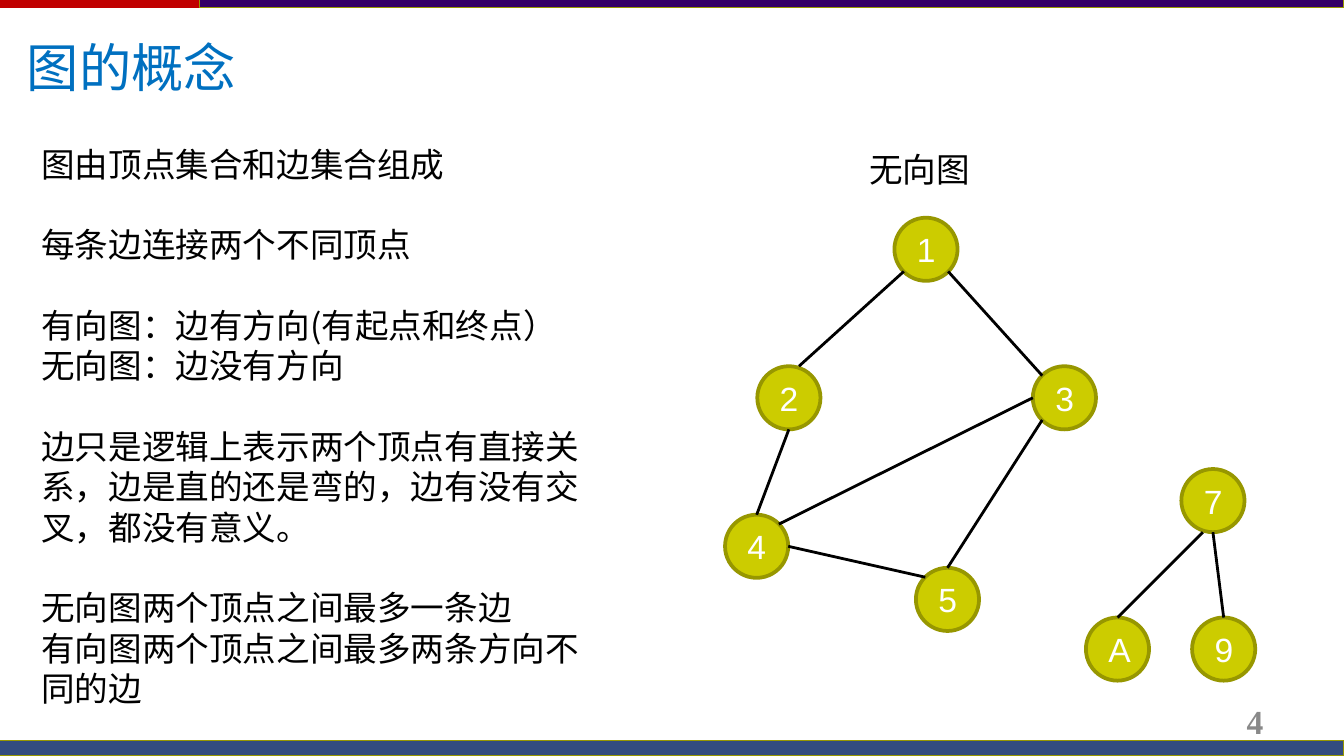
from pptx import Presentation
from pptx.dml.color import RGBColor
from pptx.enum.shapes import MSO_CONNECTOR, MSO_SHAPE
from pptx.enum.text import MSO_ANCHOR, MSO_AUTO_SIZE, PP_ALIGN
from pptx.oxml.ns import qn
from pptx.util import Pt
from lxml import etree

PX = 4572
RECTANGLE, OVAL = MSO_SHAPE.RECTANGLE, MSO_SHAPE.OVAL
STRAIGHT = MSO_CONNECTOR.STRAIGHT
LEFT, CENTER, RIGHT = PP_ALIGN.LEFT, PP_ALIGN.CENTER, PP_ALIGN.RIGHT
TOP, MIDDLE = MSO_ANCHOR.TOP, MSO_ANCHOR.MIDDLE
NO_FIT = MSO_AUTO_SIZE.NONE

RED = RGBColor(0xC0, 0x00, 0x00)
PURPLE = RGBColor(0x33, 0x00, 0x66)
NAVY = RGBColor(0x00, 0x20, 0x60)
OLIVE = RGBColor(0x97, 0x97, 0x00)
LIME = RGBColor(0xCC, 0xCC, 0x00)
BLUE = RGBColor(0x00, 0x70, 0xC0)
GRAY = RGBColor(0x89, 0x89, 0x89)
BLACK = RGBColor(0x00, 0x00, 0x00)
WHITE = RGBColor(0xFF, 0xFF, 0xFF)

CJK, LATIN, SERIF = "Noto Sans CJK SC", "Arial", "Times New Roman"

NODE = 94
NEAR, MID, FAR = 14, 47, 80
SITES = {
    "top": (MID, 0), "bottom": (MID, NODE), "left": (0, MID), "right": (NODE, MID),
    "top left": (NEAR, NEAR), "top right": (FAR, NEAR),
    "bottom left": (NEAR, FAR), "bottom right": (FAR, FAR),
    "top, right of middle": (62, 0), "bottom, left of middle": (32, NODE),
}

CONCEPTS = [
    ["图由顶点集合和边集合组成"],
    ["每条边连接两个不同顶点"],
    ["有向图：边有方向(有起点和终点）", "无向图：边没有方向"],
    ["边只是逻辑上表示两个顶点有直接关系，边是直的还是弯的，边有没有交叉，都没有意义。"],
    ["无向图两个顶点之间最多一条边", "有向图两个顶点之间最多两条方向不同的边"],
]

CYCLIC_NODES = {"1": (252, 0), "2": (48, 221), "3": (458, 221), "4": (0, 442), "5": (284, 521)}
CYCLIC_EDGES = [
    ("1", "bottom left", "2", "top, right of middle"),
    ("1", "bottom right", "3", "top left"),
    ("2", "bottom", "4", "top"),
    ("3", "left", "4", "top right"),
    ("3", "bottom left", "5", "top"),
    ("4", "right", "5", "top left"),
]
TREE_NODES = {"7": (142, 0), "A": (0, 221), "9": (158, 221)}
TREE_EDGES = [
    ("7", "bottom, left of middle", "A", "top"),
    ("7", "bottom", "9", "top"),
]


def emu(*lengths):
    return [length * PX for length in lengths]


def format_paragraph(paragraph, size, font, color, align=LEFT, leading=None):
    paragraph.alignment = align
    if leading:
        paragraph.line_spacing = Pt(leading)
    for run in paragraph.runs:
        run.font.size = Pt(size)
        run.font.name = font
        run.font.color.rgb = color
        east_asian = etree.SubElement(run.font._element, qn("a:ea"))
        east_asian.set("typeface", font)


def add_bar(slide, box, color, edge=None):
    bar = slide.shapes.add_shape(RECTANGLE, *emu(*box))
    bar.shadow.inherit = False
    bar.fill.solid()
    bar.fill.fore_color.rgb = color
    if edge:
        bar.line.color.rgb = edge
        bar._element.spPr.find(qn("a:ln")).set("w", "0")
    else:
        bar.line.fill.background()
    return bar


def add_frame(slide, left, top, width, height):
    add_bar(slide, (left, top, width, 12), RED)
    add_bar(slide, (left + 297, top, width - 297, 11), PURPLE, OLIVE)
    footer = add_bar(slide, (left, top + height - 23, width, 23), NAVY, OLIVE)
    tint = footer._element.spPr.find(qn("a:solidFill"))[0]
    etree.SubElement(tint, qn("a:alpha")).set("val", "80000")

    number = slide.shapes.add_textbox(*emu(left + 1434, top + 1043, 466, 60)).text_frame
    number.vertical_anchor = MIDDLE
    number.text = "4"
    format_paragraph(number.paragraphs[0], 18, SERIF, GRAY, RIGHT)
    number.paragraphs[0].runs[0].font.bold = True


def add_title(slide, left, top, width, height):
    title = slide.shapes.title
    title.left, title.top, title.width, title.height = emu(left, top, width, height)
    frame = title.text_frame
    frame.auto_size = NO_FIT
    frame.vertical_anchor = TOP
    frame.text = "图的概念"
    format_paragraph(frame.paragraphs[0], 28, CJK, BLUE, leading=33.6)


def add_concepts(slide, left, top, width, height):
    frame = slide.shapes.add_textbox(*emu(left, top, width, height)).text_frame
    frame.word_wrap = True
    frame.text = "\n".join(line for group in CONCEPTS for line in group)
    group_starts = [group[0] for group in CONCEPTS[1:]]
    for paragraph in frame.paragraphs:
        format_paragraph(paragraph, 18, CJK, BLACK, leading=21.6)
        if paragraph.text in group_starts:
            paragraph.space_before = Pt(21.6)


def add_caption(slide, left, top, width, height):
    frame = slide.shapes.add_textbox(*emu(left, top, width, height)).text_frame
    frame.word_wrap = False
    frame.text = "无向图"
    format_paragraph(frame.paragraphs[0], 18, CJK, BLACK, leading=22)


def add_graph(slide, left, top, nodes, edges):
    for name, (x, y) in nodes.items():
        node = slide.shapes.add_shape(OVAL, *emu(left + x, top + y, NODE, NODE))
        node.shadow.inherit = False
        node.fill.solid()
        node.fill.fore_color.rgb = LIME
        node.line.color.rgb = OLIVE
        node.line.width = Pt(2)
        node.text_frame.vertical_anchor = MIDDLE
        node.text_frame.text = name
        format_paragraph(node.text_frame.paragraphs[0], 18, LATIN, WHITE, CENTER)

    for start, start_site, end, end_site in edges:
        ends = []
        for name, site in ((start, start_site), (end, end_site)):
            (x, y), (dx, dy) = nodes[name], SITES[site]
            ends += [left + x + dx, top + y + dy]
        edge = slide.shapes.add_connector(STRAIGHT, *emu(*ends))
        edge.line.color.rgb = BLACK
        edge.line.width = Pt(1.5)
        etree.SubElement(edge._element.spPr, qn("a:effectLst"))


def main():
    presentation = Presentation()
    presentation.slide_width, presentation.slide_height = emu(2000, 1125)
    slide = presentation.slides.add_slide(presentation.slide_layouts[5])
    add_frame(slide, 0, 0, 2000, 1125)
    add_title(slide, 20, 42, 1750, 148)
    add_concepts(slide, 42, 204, 866, 868)
    add_caption(slide, 1274, 210, 192, 80)
    add_graph(slide, 1079, 324, CYCLIC_NODES, CYCLIC_EDGES)
    add_graph(slide, 1616, 698, TREE_NODES, TREE_EDGES)
    presentation.save("out.pptx")


if __name__ == "__main__":
    main()
